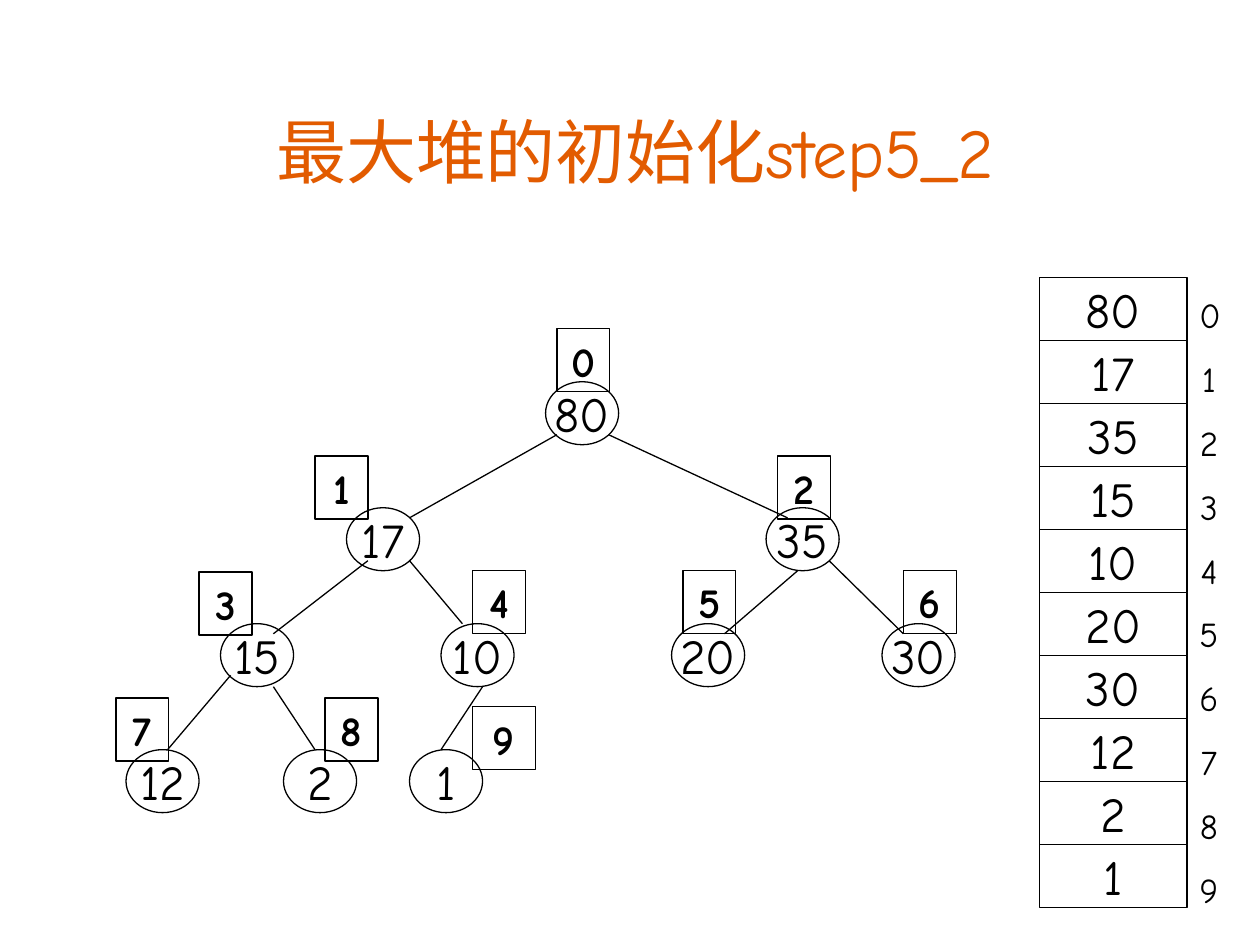
from lxml import etree
from pptx import Presentation
from pptx import util as u
from pptx.dml import color
from pptx.enum import shapes, text
from pptx.oxml import ns

FONT = "Comic Neue"
COLORS = {"ink": "000000", "title": "E25B00"}
HEAP = [80, 17, 35, 15, 10, 20, 30, 12, 2, 1]
NODE_SIZE = (0.58, 0.5)
NODES = [
    (4.33, 3.03), (2.75, 4.03), (6.08, 4.03), (1.75, 4.95), (3.5, 4.95),
    (5.33, 4.95), (7, 4.95), (1, 5.95), (2.25, 5.95), (3.25, 5.95),
]
EDGES = [
    (4.42, 3.45, 3.25, 4.11), (2.92, 4.45, 2.17, 5.03),
    (1.83, 5.36, 1.33, 5.95), (3.25, 4.45, 3.67, 4.95),
    (2.17, 5.45, 2.5, 5.95), (3.83, 5.45, 3.5, 5.95),
    (4.83, 3.45, 6.25, 4.11), (6.33, 4.53, 5.75, 5.03),
    (6.58, 4.45, 7.17, 5.03),
]
BADGES = [
    (4.42, 2.61, 0.42), (2.5, 3.62, 0.42), (6.17, 3.62, 0.42),
    (1.58, 4.54, 0.42), (3.75, 4.53, 0.42), (5.42, 4.53, 0.42),
    (7.17, 4.53, 0.42), (0.92, 5.54, 0.42), (2.58, 5.54, 0.42),
    (3.75, 5.61, 0.5),
]
VALUE_FRAME = {"word_wrap": False, "vertical_anchor": text.MSO_ANCHOR.MIDDLE}
INDEX_FRAME = {
    "word_wrap": True,
    "vertical_anchor": text.MSO_ANCHOR.TOP,
    "auto_size": text.MSO_AUTO_SIZE.SHAPE_TO_FIT_TEXT,
}
TITLE_FRAME = {"word_wrap": True, "vertical_anchor": text.MSO_ANCHOR.BOTTOM}


def set_all(target, values):
    for name, value in values.items():
        setattr(target, name, value)


def rgb(name):
    return color.RGBColor.from_string(COLORS[name])


def write(box, lines, frame, size, ink="ink", bold=False, gap=0):
    set_all(box.text_frame, frame)
    for number, line in enumerate(lines):
        if number:
            para = box.text_frame.add_paragraph()
            para.space_before = u.Pt(gap)
        else:
            para = box.text_frame.paragraphs[0]
        para.alignment = text.PP_ALIGN.CENTER
        span = para.add_run()
        span.text = str(line)
        set_all(span.font, {"name": FONT, "size": u.Pt(size), "bold": bold})
        span.font.color.rgb = rgb(ink)


def style_line(line):
    line.color.rgb = rgb("ink")
    line.width = u.Pt(0.75)


def add_outline(parent, kind, *place):
    box = parent.shapes.add_shape(kind, *map(u.Inches, place))
    box.shadow.inherit = False
    box.fill.background()
    style_line(box.line)
    return box


def add_label(page, place, lines, frame, size, **look):
    box = page.shapes.add_textbox(*map(u.Inches, place))
    write(box, lines, frame, size, **look)


def add_edge(tree, ends):
    edge = tree.shapes.add_connector(
        shapes.MSO_CONNECTOR.STRAIGHT, *map(u.Inches, ends))
    style_line(edge.line)
    etree.SubElement(edge.element.spPr, ns.qn("a:effectLst"))


def add_tree(page):
    tree = page.shapes.add_group_shape()
    for value, spot in zip(HEAP, NODES):
        node = add_outline(
            tree, shapes.MSO_SHAPE.FLOWCHART_CONNECTOR, *spot, *NODE_SIZE)
        write(node, [value], VALUE_FRAME, 28)
    for ends in EDGES:
        add_edge(tree, ends)


def add_badges(page):
    for index, (left, top, width) in enumerate(BADGES):
        badge = add_outline(
            page, shapes.MSO_SHAPE.RECTANGLE, left, top, width, 0.5)
        write(badge, [index], INDEX_FRAME, 24, bold=True)


def add_array(page):
    for index, value in enumerate(HEAP):
        cell = add_outline(page, shapes.MSO_SHAPE.FLOWCHART_PROCESS,
                           8.25, 2.2 + 0.5 * index, 1.17, 0.5)
        write(cell, [value], VALUE_FRAME, 28)
    add_label(page, (9.42, 2.28, 0.35, 5), range(len(HEAP)),
              INDEX_FRAME, 20, gap=12.5)


def main():
    deck = Presentation()
    set_all(deck, {"slide_width": u.Inches(10), "slide_height": u.Inches(7.5)})
    page = deck.slides.add_slide(deck.slide_layouts[6])
    add_label(page, (0.75, 0.75, 8.58, 0.83), ["最大堆的初始化step5_2"],
              TITLE_FRAME, 40, ink="title")
    add_tree(page)
    add_badges(page)
    add_array(page)
    deck.save("out.pptx")


if __name__ == "__main__":
    main()
